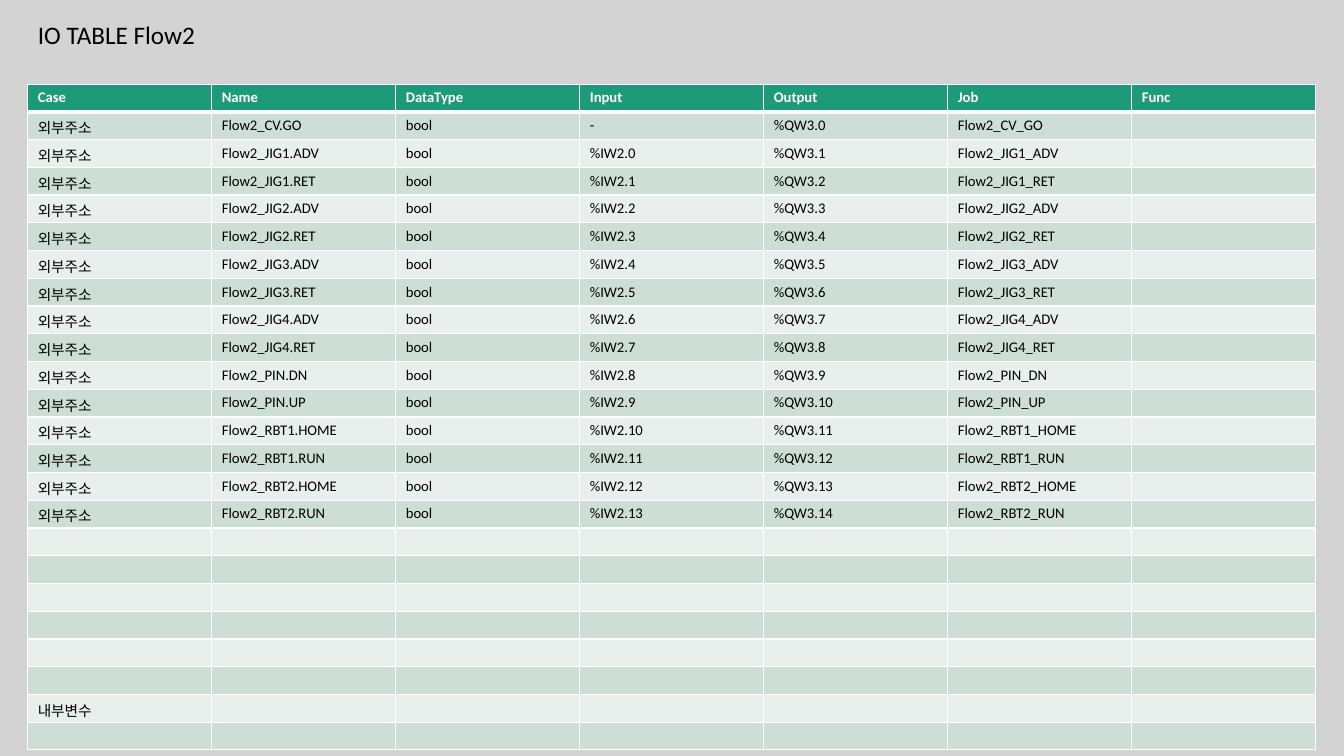
from lxml.etree import SubElement
from pptx import Presentation
from pptx.dml.color import RGBColor
from pptx.enum.text import MSO_ANCHOR, MSO_AUTO_SIZE, PP_ALIGN
from pptx.oxml.ns import qn
from pptx.util import Cm, Pt

COLORS = {
    "background": "D3D3D3",
    "header": "1D9A78",
    "odd": "CDDED6",
    "even": "E8EFEC",
    "white": "FFFFFF",
    "text": "000000",
}
HEADERS = ["Case", "Name", "DataType", "Input", "Output", "Job", "Func"]
DEVICES = [
    ("CV", ["GO"]),
    *((f"JIG{n}", ["ADV", "RET"]) for n in range(1, 5)),
    ("PIN", ["DN", "UP"]),
    *((f"RBT{n}", ["HOME", "RUN"]) for n in range(1, 3)),
]
EMPTY_ROWS = 6


class SlideBuilder:
    """Holds the style and the current slide, and adds its elements."""

    def __init__(self, prs, font="Calibri"):
        self.font = font
        self.s = prs.slides.add_slide(prs.slide_layouts[5])
        fill = self.s.background.fill
        fill.solid()
        fill.fore_color.rgb = self.color("background")

    def color(self, name):
        return RGBColor.from_string(COLORS[name])

    def format_runs(self, p, size, color, bold=False):
        for r in p.runs:
            r.font.name = self.font
            r.font.size = Pt(size)
            r.font.bold = bold
            r.font.color.rgb = self.color(color)

    def title(self, text, left, top, width, height):
        sp = self.s.shapes.title
        sp.left, sp.top, sp.width, sp.height = left, top, width, height
        tf = sp.text_frame
        tf.text = text
        tf.word_wrap = True
        tf.auto_size = MSO_AUTO_SIZE.SHAPE_TO_FIT_TEXT
        tf.vertical_anchor = MSO_ANCHOR.TOP
        p = tf.paragraphs[0]
        p.alignment = PP_ALIGN.LEFT
        self.format_runs(p, 18, "text")

    def borders(self, cell, widths):
        tcPr = cell._tc.get_or_add_tcPr()
        for side, width in widths.items():
            ln = SubElement(tcPr, qn(f"a:ln{side}"), w=str(Pt(width)))
            fill = SubElement(ln, qn("a:solidFill"))
            SubElement(fill, qn("a:srgbClr"), val=COLORS["white"])

    def cell(self, cell, text, row, size=10.5):
        self.borders(cell, {"L": 1, "R": 1, "T": 3 if row == 1 else 1, "B": 1 if row else 3})
        cell.fill.solid()
        band = "odd" if row % 2 else "even"
        cell.fill.fore_color.rgb = self.color(band if row else "header")
        cell.margin_top, cell.margin_bottom = Cm(0.12), Cm(0)
        cell.text_frame.text = text
        p = cell.text_frame.paragraphs[0]
        self.format_runs(p, size, "text" if row else "white", bold=row == 0)
        if not text:
            SubElement(p._p, qn("a:endParaRPr"), sz=str(int(size * 100)))

    def table(self, rows, left, top, width, height):
        frame = self.s.shapes.add_table(len(rows), len(rows[0]), left, top, width, height)
        table = frame.table
        table.horz_banding = False
        for i, values in enumerate(rows):
            for j, text in enumerate(values):
                self.cell(table.cell(i, j), text, i)


def io_rows():
    """Returns the header, the addressed signals and the spare rows."""
    signals = [(device, action) for device, actions in DEVICES for action in actions]
    blank = [""] * len(HEADERS)
    rows = [HEADERS]
    for n, (device, action) in enumerate(signals):
        rows.append([
            "외부주소",
            f"Flow2_{device}.{action}",
            "bool",
            f"%IW2.{n - 1}" if n else "-",
            f"%QW3.{n}",
            f"Flow2_{device}_{action}",
            "",
        ])
    return rows + [blank] * EMPTY_ROWS + [["내부변수"] + blank[1:], blank]


def main():
    prs = Presentation()
    prs.slide_width, prs.slide_height = Cm(33.87), Cm(19.05)
    slide = SlideBuilder(prs)
    slide.title("IO TABLE Flow2", Cm(0.7), Cm(0.35), Cm(42.33), Cm(1.06))
    slide.table(io_rows(), Cm(0.7), Cm(2.12), Cm(32.46), Cm(16.78))
    prs.save("out.pptx")


if __name__ == "__main__":
    main()
